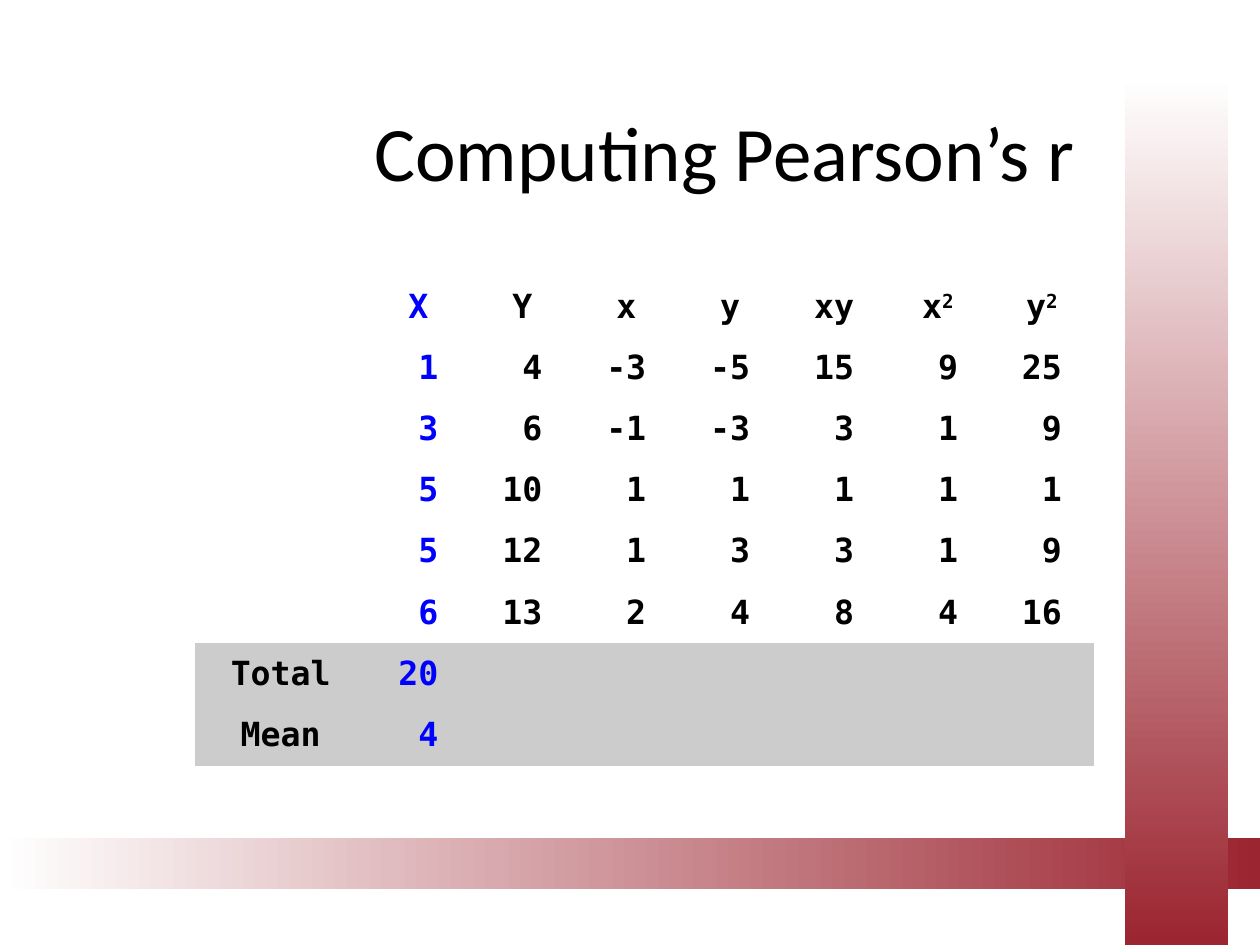
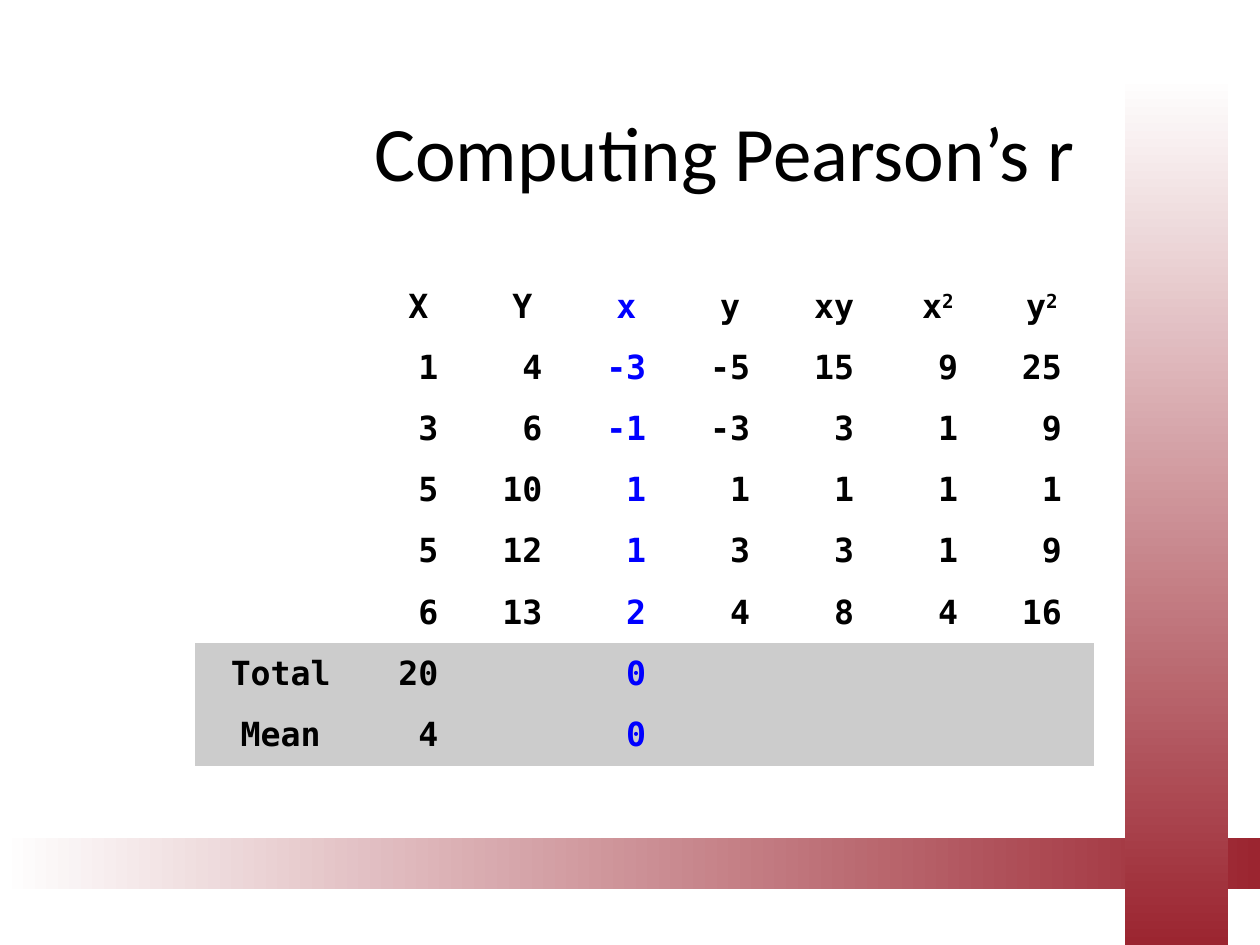
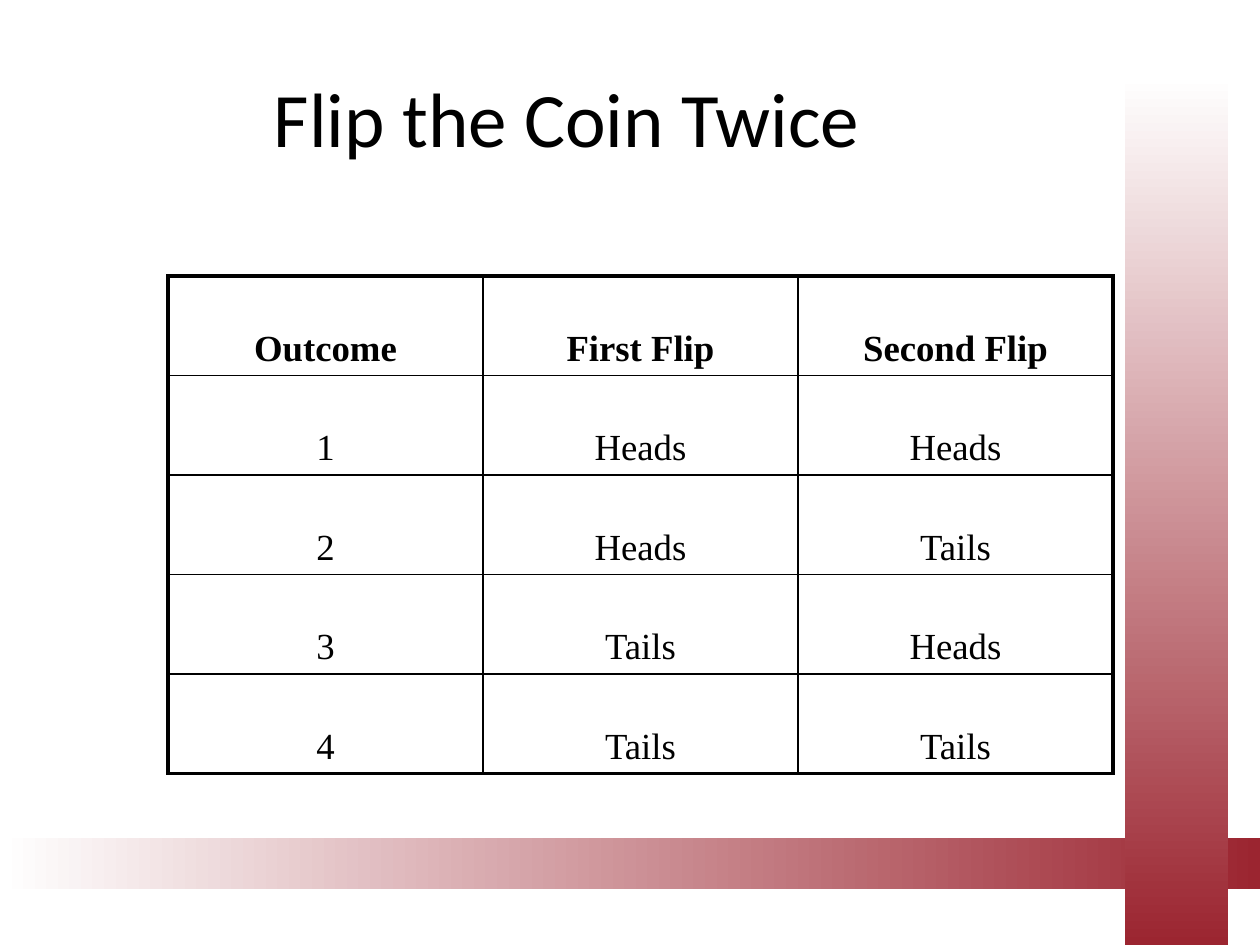
from dataclasses import dataclass

from lxml.etree import SubElement
from pptx import Presentation
from pptx.dml.color import RGBColor
from pptx.enum.shapes import MSO_SHAPE as Preset
from pptx.enum.text import MSO_ANCHOR as Anchor, PP_ALIGN as Align
from pptx.oxml.ns import qn
from pptx.slide import Slide
from pptx.table import Table, _Cell as Cell
from pptx.util import Pt

BLACK = "000000"
WHITE = "FFFFFF"
BLUE = "0000FF"
GREY = "CCCCCC"
CRIMSON = "9B2530"
NO_GRID_STYLE = "{2D5ABB26-0587-4C30-8999-92F81FD0307C}"
HARD_SPACE = chr(160)
THIN, THICK = 1, 2.25


@dataclass(frozen=True)
class Box:
    left: float
    top: float
    width: float
    height: float

    def lengths(self) -> tuple[Pt, Pt, Pt, Pt]:
        return Pt(self.left), Pt(self.top), Pt(self.width), Pt(self.height)


@dataclass(frozen=True)
class Band:
    box: Box
    fade_start: float
    angle: int


@dataclass(frozen=True)
class CellStyle:
    font: str
    size: float
    anchor: Anchor
    margin_x: float
    margin_y: float


BANDS = (
    Band(Box(0, 479, 720, 28.8), 0, 0),
    Band(Box(643, 0, 59, 540), 0.08, 270),
)
PEARSON_TITLE = Box(108, 46, 612, 80)
COIN_TITLE = Box(0, 21.6, 648, 90)
PEARSON_STYLE = CellStyle("DejaVu Sans Mono", 19, Anchor.MIDDLE, 10, 5)
COIN_STYLE = CellStyle("Times New Roman", 21, Anchor.BOTTOM, 7.2, 3.6)

SCORES = (
    ("", "X", "Y", "x", "y", "xy", "x^2", "y^2"),
    ("", "1", "4", "-3", "-5", "15", "9", "25"),
    ("", "3", "6", "-1", "-3", "3", "1", "9"),
    ("", "5", "10", "1", "1", "1", "1", "1"),
    ("", "5", "12", "1", "3", "3", "1", "9"),
    ("", "6", "13", "2", "4", "8", "4", "16"),
)
SUMMARIES = {"Total": {1: "20", 3: "0"}, "Mean": {1: "4", 3: "0"}}
FLIPS = (
    ("Outcome", "First Flip", "Second Flip"),
    ("1", "Heads", "Heads"),
    ("2", "Heads", "Tails"),
    ("3", "Tails", "Heads"),
    ("4", "Tails", "Tails"),
)


def color(value: str) -> RGBColor:
    return RGBColor.from_string(value)


def draw_band(slide: Slide, band: Band) -> None:
    shape = slide.shapes.add_shape(Preset.RECTANGLE, *band.box.lengths())
    shape.shadow.inherit = False
    shape.line.fill.background()
    shape.fill.gradient()
    shape.fill.gradient_angle = band.angle
    start, end = shape.fill.gradient_stops
    start.color.rgb, start.position = color(WHITE), band.fade_start
    end.color.rgb, end.position = color(CRIMSON), 1
    slide.shapes.title.element.addprevious(shape.element)


def add_titled_slide(presentation: Presentation, text: str, box: Box) -> Slide:
    slide = presentation.slides.add_slide(presentation.slide_layouts[5])
    for band in BANDS:
        draw_band(slide, band)
    title = slide.shapes.title
    title.left, title.top, title.width, title.height = box.lengths()
    title.text_frame.text = text
    title.text_frame.vertical_anchor = Anchor.MIDDLE
    paragraph = title.text_frame.paragraphs[0]
    paragraph.alignment = Align.CENTER
    font = paragraph.runs[0].font
    font.name, font.size = "Calibri", Pt(44)
    font.color.rgb = color(BLACK)
    return slide


def add_plain_table(slide: Slide, box: Box, rows: int, columns: int) -> Table:
    frame = slide.shapes.add_table(rows, columns, *box.lengths())
    table = frame.table
    table.first_row = table.horz_banding = False
    next(frame.element.iter(qn("a:tableStyleId"))).text = NO_GRID_STYLE
    for row in table.rows:
        row.height = Pt(box.height / rows)
    return table


def write_cell(cell: Cell, text: str, style: CellStyle, font_color: str = BLACK, bold: bool = False) -> None:
    cell.vertical_anchor = style.anchor
    cell.margin_left = cell.margin_right = Pt(style.margin_x)
    cell.margin_top = cell.margin_bottom = Pt(style.margin_y)
    base, _, power = text.partition("^")
    paragraph = cell.text_frame.paragraphs[0]
    paragraph.text = base
    paragraph.alignment = Align.CENTER
    if power:
        run = paragraph.add_run()
        run.text = power
        run._r.get_or_add_rPr().set("baseline", "30000")
    for run in paragraph.runs:
        run.font.name, run.font.size, run.font.bold = style.font, Pt(style.size), bold
        run.font.color.rgb = color(font_color)


def set_borders(cell: Cell, widths: dict[str, float]) -> None:
    properties = cell._tc.get_or_add_tcPr()
    for side in "LRTB":
        line = SubElement(properties, qn(f"a:ln{side}"), w=str(Pt(widths[side])))
        fill = SubElement(line, qn("a:solidFill"))
        SubElement(fill, qn("a:srgbClr"), val=BLACK)


def add_pearson_slide(presentation: Presentation, summary_columns: set[int], highlighted: int) -> None:
    slide = add_titled_slide(presentation, "Computing Pearson’s r", PEARSON_TITLE)
    summary_rows = [
        [label] + [values[column] if column in summary_columns else "" for column in range(1, 8)]
        for label, values in SUMMARIES.items()
    ]
    rows = [*SCORES, *summary_rows]
    table = add_plain_table(slide, Box(111.4, 157.7, 513.8, 280), len(rows), 8)
    for index, column in enumerate(table.columns):
        column.width = Pt(59.4 if index else 98)
    for row_index, row in enumerate(rows):
        for column_index, text in enumerate(row):
            cell = table.cell(row_index, column_index)
            if text:
                shown = text.rjust(2, HARD_SPACE) if text.isdigit() else text
                font_color = BLUE if column_index == highlighted else BLACK
                write_cell(cell, shown, PEARSON_STYLE, font_color, bold=True)
            if row_index < len(SCORES):
                cell.fill.background()
            else:
                cell.fill.solid()
                cell.fill.fore_color.rgb = color(GREY)


def add_coin_slide(presentation: Presentation) -> None:
    slide = add_titled_slide(presentation, "Flip the Coin Twice", COIN_TITLE)
    last_row, last_column = len(FLIPS) - 1, len(FLIPS[0]) - 1
    table = add_plain_table(slide, Box(96, 157.7, 540, 284.4), len(FLIPS), len(FLIPS[0]))
    for row_index, row in enumerate(FLIPS):
        for column_index, text in enumerate(row):
            cell = table.cell(row_index, column_index)
            write_cell(cell, text, COIN_STYLE, bold=row_index == 0)
            outer = {
                "L": column_index == 0,
                "R": column_index == last_column,
                "T": row_index == 0,
                "B": row_index == last_row,
            }
            set_borders(cell, {side: THICK if edge else THIN for side, edge in outer.items()})
            cell.fill.background()


def main() -> None:
    presentation = Presentation()
    presentation.slide_width, presentation.slide_height = Pt(720), Pt(540)
    add_pearson_slide(presentation, summary_columns={1}, highlighted=1)
    add_pearson_slide(presentation, summary_columns={1, 3}, highlighted=3)
    add_coin_slide(presentation)
    presentation.save("out.pptx")


if __name__ == "__main__":
    main()
